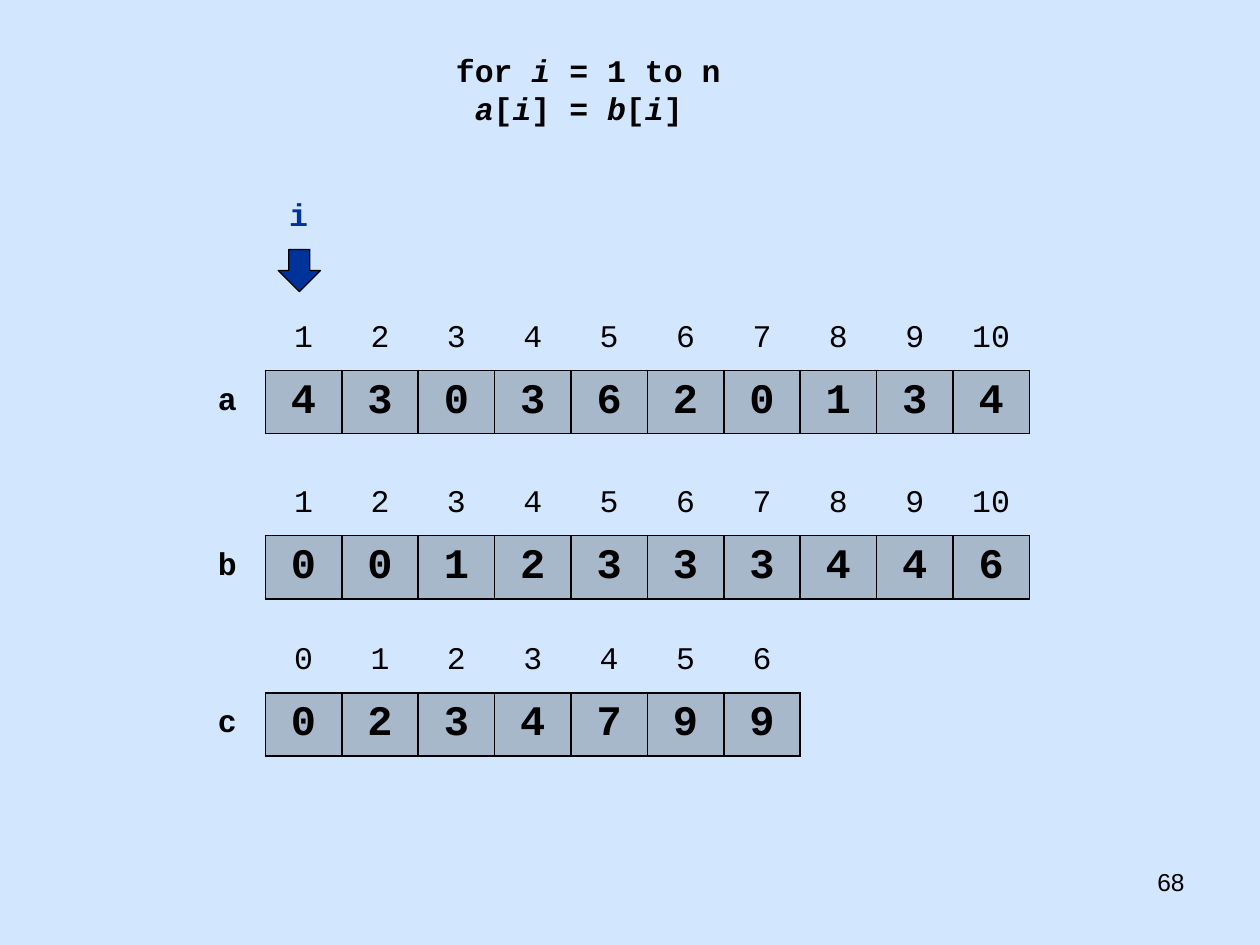
from lxml.etree import SubElement
from pptx import Presentation
from pptx.dml.color import RGBColor
from pptx.enum.shapes import MSO_SHAPE
from pptx.enum.text import MSO_ANCHOR, PP_ALIGN
from pptx.oxml.ns import qn
from pptx.util import Cm, Pt

BLACK = RGBColor(0x00, 0x00, 0x00)
NAVY = RGBColor(0x00, 0x33, 0x99)
PALE_BLUE = RGBColor(0xD2, 0xE7, 0xFE)
CODE_FONT = "Courier New"
COLUMN_WIDTH = 1.54
ROW_HEIGHT = 1.27


def write_run(paragraph, text, *, font=CODE_FONT, size=18, color=BLACK, bold=False, italic=False):
    """Append one formatted run to a paragraph."""
    run = paragraph.add_run()
    run.text = text
    run.font.name = font
    run.font.size = Pt(size)
    run.font.color.rgb = color
    run.font.bold = bold
    run.font.italic = italic


def add_solid_fill(parent, color, opacity=100):
    fill = SubElement(parent, qn("a:solidFill"))
    color_element = SubElement(fill, qn("a:srgbClr"), val=str(color))
    if opacity < 100:
        SubElement(color_element, qn("a:alpha"), val=str(opacity * 1000))


def style_cell(cell, borders, shaded):
    """Draw the named borders (of L, R, T, B), then the fill."""
    properties = cell._tc.get_or_add_tcPr()
    for side in "LRTB":
        line = SubElement(properties, qn(f"a:ln{side}"), w=str(Pt(1)))
        if side in borders:
            add_solid_fill(line, BLACK)
        else:
            SubElement(line, qn("a:noFill"))
    if shaded:
        add_solid_fill(properties, BLACK, opacity=20)
    else:
        SubElement(properties, qn("a:noFill"))


class SlideBuilder:
    def __init__(self, presentation):
        self.slide = presentation.slides.add_slide(presentation.slide_layouts[6])
        background = self.slide.background.fill
        background.solid()
        background.fore_color.rgb = PALE_BLUE

    def text(self, left, top, width, height, lines, alignment=PP_ALIGN.LEFT):
        """Each line is a list of (text, format) pairs."""
        box = self.slide.shapes.add_textbox(Cm(left), Cm(top), Cm(width), Cm(height))
        frame = box.text_frame
        frame.word_wrap = True
        for index, line in enumerate(lines):
            paragraph = frame.add_paragraph() if index else frame.paragraphs[0]
            paragraph.alignment = alignment
            for content, style in line:
                write_run(paragraph, content, **style)

    def array(self, name, top, first_index, values):
        """A row of indices above a row with the array's name and values."""
        columns = len(values) + 1
        table = self.slide.shapes.add_table(
            2, columns, Cm(3.81), Cm(top), Cm(COLUMN_WIDTH * columns), Cm(2 * ROW_HEIGHT)
        ).table
        table.first_row = table.horz_banding = False
        for column in table.columns:
            column.width = Cm(COLUMN_WIDTH)
        for row in table.rows:
            row.height = Cm(ROW_HEIGHT)

        style_cell(table.cell(0, 0), "", False)
        self.cell(table.cell(1, 0), name, borders="R", bold=True)
        for column, value in enumerate(values, start=1):
            index = first_index + column - 1
            self.cell(table.cell(0, column), index, borders="B")
            self.cell(table.cell(1, column), value, borders="LRTB", shaded=True, size=24, bold=True)

    def cell(self, cell, content, *, borders, shaded=False, **style):
        cell.vertical_anchor = MSO_ANCHOR.MIDDLE
        paragraph = cell.text_frame.paragraphs[0]
        paragraph.alignment = PP_ALIGN.CENTER
        write_run(paragraph, str(content), **style)
        style_cell(cell, borders, shaded)

    def down_arrow(self, left, top, size):
        shape = self.slide.shapes.add_shape(
            MSO_SHAPE.DOWN_ARROW, Cm(left), Cm(top), Cm(size), Cm(size)
        )
        shape.shadow.inherit = False
        shape.fill.solid()
        shape.fill.fore_color.rgb = NAVY
        shape.line.color.rgb = BLACK
        shape.line.width = Pt(0.75)


def main():
    presentation = Presentation()
    presentation.slide_width = Cm(25.4)
    presentation.slide_height = Cm(19.05)
    builder = SlideBuilder(presentation)

    # Slide number
    builder.text(18.21, 17.35, 5.92, 1.32, [[("68", {"font": "Arial", "size": 14})]], PP_ALIGN.RIGHT)

    # Loop code
    plain = {"bold": True}
    variable = {"bold": True, "italic": True}
    builder.text(8.56, 0.91, 10.16, 1.8, [
        [(" for ", plain), ("i", variable), (" = 1 to n", plain)],
        [("  a", variable), ("[", plain), ("i", variable), ("] = ", plain),
         ("b", variable), ("[", plain), ("i", variable), ("]", plain)],
    ])

    # Arrays
    builder.array("a", 6.2, 1, [4, 3, 0, 3, 6, 2, 0, 1, 3, 4])
    builder.array("b", 9.53, 1, [0, 0, 1, 2, 3, 3, 3, 4, 4, 6])
    builder.array("c", 12.7, 0, [0, 2, 3, 4, 7, 9, 9])

    # Pointer to the current position
    builder.text(3.38, 3.81, 5.28, 1.02, [[("i", {"color": NAVY, "bold": True})]], PP_ALIGN.CENTER)
    builder.down_arrow(5.61, 5.03, 0.85)

    presentation.save("out.pptx")


if __name__ == "__main__":
    main()
